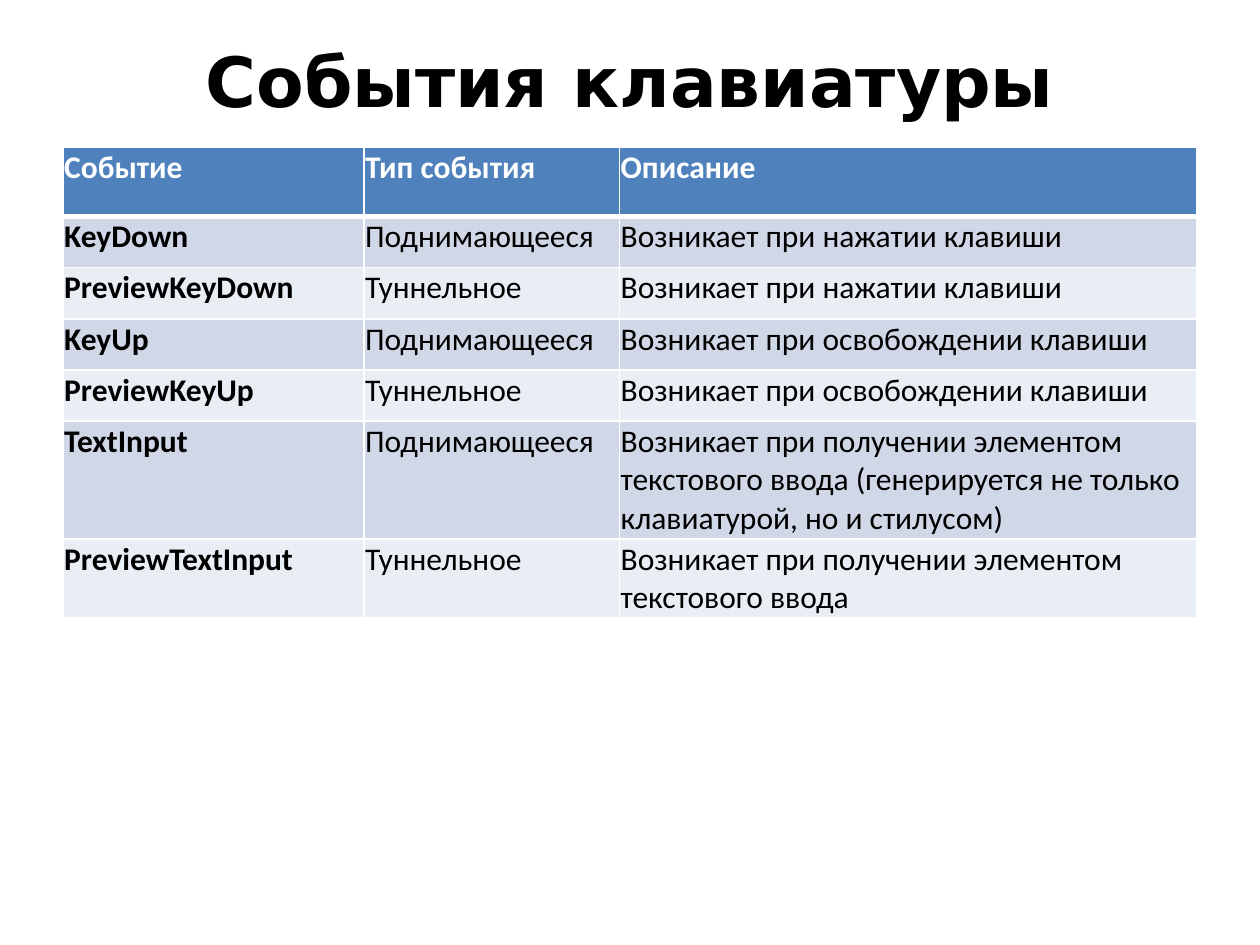
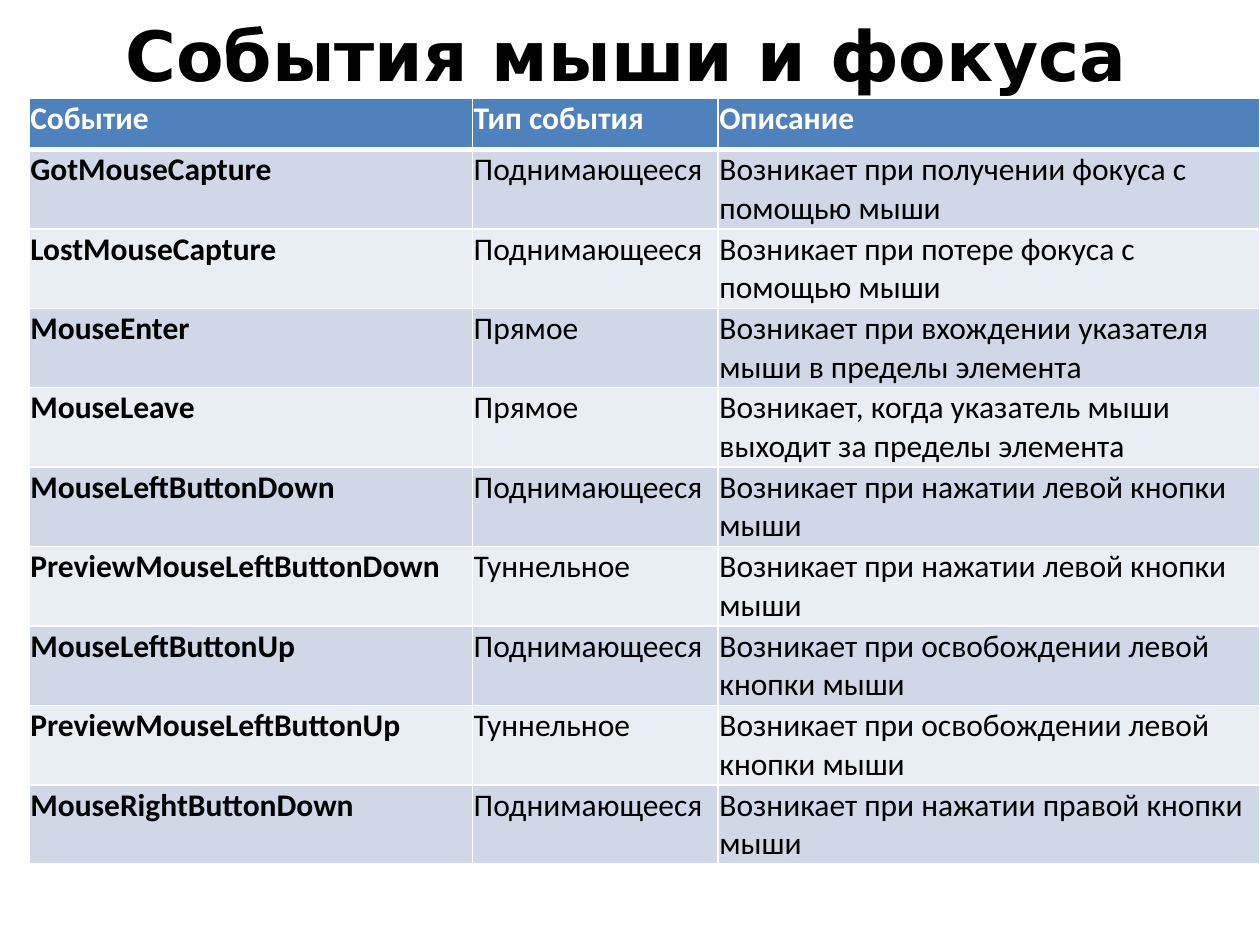
from dataclasses import dataclass

from lxml.etree import SubElement
from pptx import Presentation
from pptx.dml.color import RGBColor as Color
from pptx.enum.text import MSO_ANCHOR as Anchor, PP_ALIGN as Align
from pptx.oxml.ns import qn
from pptx.util import Pt


@dataclass(frozen=True)
class Theme:
    """Colours, fonts and sizes shared by all slides."""
    ink: str = "000000"
    paper: str = "FFFFFF"
    header: str = "4F81BD"
    bands: tuple = ("D0D8E8", "E9EDF4")
    title_font: str = "DejaVu Sans"
    table_font: str = "Calibri"
    title_size: float = 39.6
    table_size: float = 18
    inset: float = 0.72
    thin: float = 1
    thick: float = 3


THEME = Theme()
BUBBLING, TUNNELING, DIRECT = "Поднимающееся", "Туннельное", "Прямое"
HEADINGS = ("Событие", "Тип события", "Описание")
KEYBOARD_EVENTS = [
    ("KeyDown", BUBBLING, "Возникает при нажатии клавиши"),
    ("PreviewKeyDown", TUNNELING, "Возникает при нажатии клавиши"),
    ("KeyUp", BUBBLING, "Возникает при освобождении клавиши"),
    ("PreviewKeyUp", TUNNELING, "Возникает при освобождении клавиши"),
    ("TextInput", BUBBLING,
     "Возникает при получении элементом текстового ввода "
     "(генерируется не только клавиатурой, но и стилусом)"),
    ("PreviewTextInput", TUNNELING,
     "Возникает при получении элементом текстового ввода"),
]
MOUSE_EVENTS = [
    ("GotMouseCapture", BUBBLING,
     "Возникает при получении фокуса с помощью мыши"),
    ("LostMouseCapture", BUBBLING,
     "Возникает при потере фокуса с помощью мыши"),
    ("MouseEnter", DIRECT,
     "Возникает при вхождении указателя мыши в пределы элемента"),
    ("MouseLeave", DIRECT,
     "Возникает, когда указатель мыши выходит за пределы элемента"),
    ("MouseLeftButtonDown", BUBBLING,
     "Возникает при нажатии левой кнопки мыши"),
    ("PreviewMouseLeftButtonDown", TUNNELING,
     "Возникает при нажатии левой кнопки мыши"),
    ("MouseLeftButtonUp", BUBBLING,
     "Возникает при освобождении левой кнопки мыши"),
    ("PreviewMouseLeftButtonUp", TUNNELING,
     "Возникает при освобождении левой кнопки мыши"),
    ("MouseRightButtonDown", BUBBLING,
     "Возникает при нажатии правой кнопки мыши"),
]


def write(frame, text, *, font, size, color, bold=False, align=Align.LEFT):
    """Put one formatted paragraph into a text frame."""
    para = frame.paragraphs[0]
    para.alignment = align
    span = para.add_run()
    span.text = text
    span.font.name = font
    span.font.size = Pt(size)
    span.font.bold = bold
    span.font.color.rgb = Color.from_string(color)


def add_page(deck, title, *, left, top, width, height, anchor):
    """Add a slide with a centred title and return it."""
    page = deck.slides.add_slide(deck.slide_layouts[5])
    box = page.shapes.title
    box.left, box.top, box.width, box.height = map(
        Pt, (left, top, width, height))
    frame = box.text_frame
    frame.word_wrap = True
    frame.vertical_anchor = anchor
    frame.margin_top = frame.margin_bottom = 0
    write(frame, title, font=THEME.title_font, size=THEME.title_size,
          color=THEME.ink, bold=True, align=Align.CENTER)
    return page


def draw_borders(cell, *, top, bottom):
    """Draw the four white borders of a cell."""
    properties = cell._tc.get_or_add_tcPr()
    weights = {"lnL": THEME.thin, "lnR": THEME.thin,
               "lnT": top, "lnB": bottom}
    for side, weight in weights.items():
        line = SubElement(properties, qn(f"a:{side}"), w=str(Pt(weight)))
        fill = SubElement(line, qn("a:solidFill"))
        SubElement(fill, qn("a:srgbClr"), val=THEME.paper)


def fill_cell(cell, text, row, column):
    """Format one cell by its place in the table."""
    is_header = row == 0
    draw_borders(cell, top=THEME.thick if row == 1 else THEME.thin,
                 bottom=THEME.thick if is_header else THEME.thin)
    background = THEME.header if is_header else THEME.bands[(row - 1) % 2]
    cell.fill.solid()
    cell.fill.fore_color.rgb = Color.from_string(background)
    cell.margin_left = cell.margin_right = Pt(THEME.inset)
    cell.margin_top = cell.margin_bottom = Pt(THEME.inset)
    write(cell.text_frame, text, font=THEME.table_font,
          size=THEME.table_size, bold=is_header or column == 0,
          color=THEME.paper if is_header else THEME.ink)


def add_event_table(page, events, *, left, top, height, widths,
                    header_height, row_height=29.2):
    """Add a table of events below a header row."""
    records = [HEADINGS, *events]
    frame = page.shapes.add_table(
        len(records), len(widths), Pt(left), Pt(top),
        Pt(sum(widths)), Pt(height))
    table = frame.table
    for column, width in zip(table.columns, widths):
        column.width = Pt(width)
    for index, record in enumerate(records):
        table.rows[index].height = Pt(row_height if index else header_height)
        for column, text in enumerate(record):
            fill_cell(table.cell(index, column), text, index, column)
    frame.height = Pt(height)


def main():
    """Build and save the deck."""
    deck = Presentation()
    deck.slide_width, deck.slide_height = Pt(720), Pt(540)

    page = add_page(deck, "События клавиатуры", left=36, top=21.6,
                    width=648, height=90, anchor=Anchor.TOP)
    add_event_table(page, KEYBOARD_EVENTS, left=36, top=84.4, height=267,
                    widths=(172, 146, 330), header_height=39.4)

    page = add_page(deck, "События мыши и фокуса", left=33.8, top=16.6,
                    width=648, height=28.8, anchor=Anchor.MIDDLE)
    add_event_table(page, MOUSE_EVENTS, left=16.6, top=56.2, height=431.3,
                    widths=(253.4, 140.4, 309.6), header_height=29.2)

    deck.save("out.pptx")


main()
